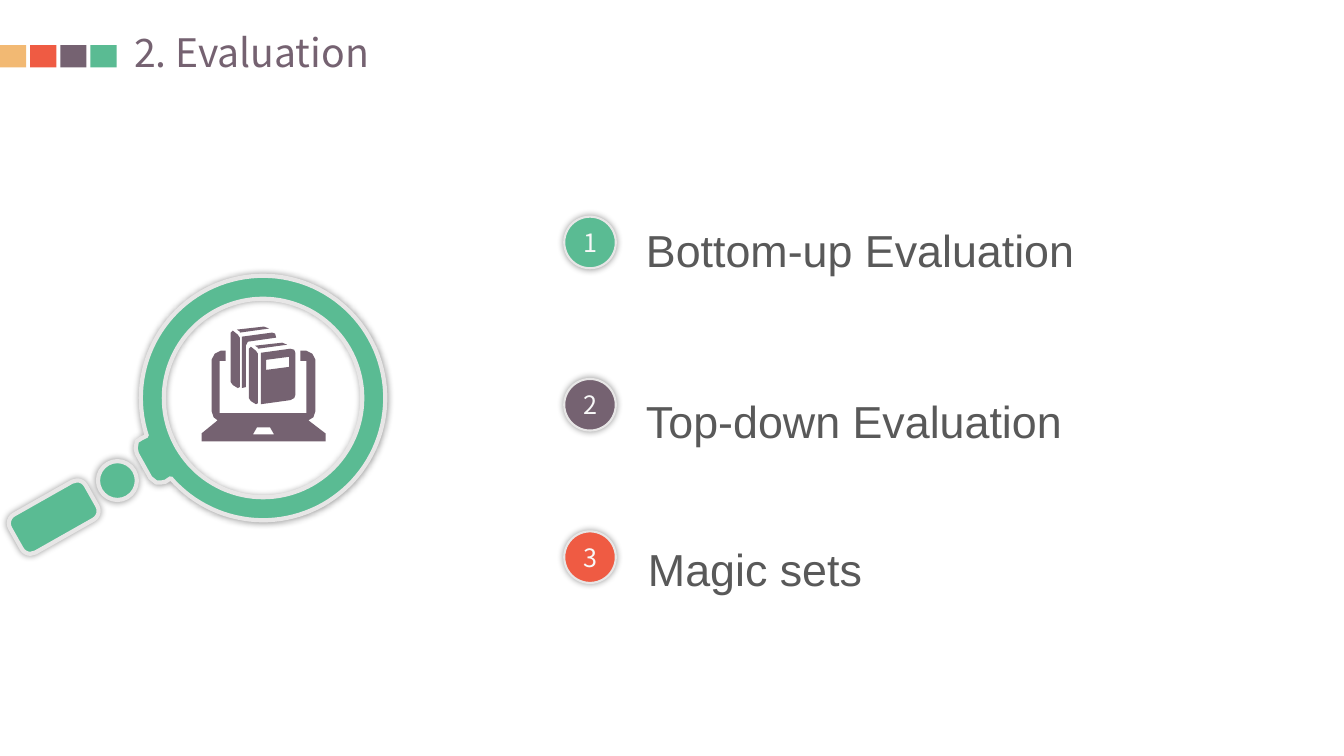
from math import cos, radians, sin
from lxml.etree import SubElement
from pptx import Presentation
from pptx.dml.color import RGBColor
from pptx.enum.shapes import MSO_SHAPE
from pptx.enum.text import MSO_ANCHOR, PP_ALIGN
from pptx.oxml.ns import qn
from pptx.util import Cm, Pt

INK = {"green": "5ABB93", "plum": "756271", "red": "EF5B43", "sand": "F2B973",
       "rim": "E7E6E6", "pale": "F8F8F8", "gray": "595959", "black": "000000"}
SANS, CJK = "Arial", "Noto Sans CJK SC"

COLLAR = [(-2.46, 2.11), (-2.57, 2.13), (-2.69, 2.13), (-2.84, 2.01),
          (-3.18, 1.4), (-3.21, 1.27), (-3.18, 1.09), (-3.07, 1.02)]
LAPTOP = [(18, 34), (24, 34), (24, 24), (19, 24), (13, 27), (10, 33), (10, 84),
          (12, 90), (16, 93), (0, 106), (0, 114), (123, 114), (123, 106),
          (106, 93), (111, 90), (113, 84), (113, 33), (110, 27), (104, 24),
          (98, 24), (98, 34), (104, 34), (104, 86), (18, 86)]
NOTCH = [(55, 100), (68, 100), (72, 107), (51, 107)]
TOP = [(35, 3), (38, 5), (38, 6), (67, 2), (62, 0)]
SPINE = [(31, 4), (36, 8), (38, 11), (38, 60), (36, 61), (31, 58), (29, 55), (29, 6)]
BACK = [(40, 10), (70, 6), (73, 7), (74, 11), (46, 15), (44, 19), (44, 60), (40, 61)]
FRONT = [(59, 26), (88, 22), (92, 23), (93, 26), (93, 68), (92, 71), (88, 73), (59, 77)]
LABEL = [(64, 33), (87, 30), (87, 40), (64, 43)]


def tint(name):
    """Return a palette colour."""
    return RGBColor.from_string(INK[name])


def paint(shape, fill, rim=0):
    """Fill a shape; a rim width adds a pale line and a soft shadow."""
    shape.shadow.inherit = False
    shape.fill.solid()
    shape.fill.fore_color.rgb = tint(fill)
    if not rim:
        shape.line.fill.background()
        return
    shape.line.color.rgb = tint("rim")
    shape.line.width = Pt(rim)
    glow = SubElement(shape._element.spPr.find(qn("a:effectLst")), qn("a:outerShdw"),
                      blurRad=str(Pt(5)), dist="0", dir="0", algn="ctr", rotWithShape="0")
    shade = SubElement(glow, qn("a:srgbClr"), val=INK["black"])
    SubElement(shade, qn("a:alpha"), val="40000")


def block(slide, kind, box, fill, rim=0):
    """Add a painted preset shape in a box given in centimetres."""
    shape = slide.shapes.add_shape(kind, *map(Cm, box))
    paint(shape, fill, rim)
    return shape


def trace(slide, x, y, unit, loops, fill, rim=0):
    """Draw closed loops, measured in units from x and y, as one shape."""
    pen = None
    for loop in loops:
        spots = [(Cm(x + unit * a), Cm(y + unit * b)) for a, b in loop]
        if pen is None:
            pen = slide.shapes.build_freeform(*spots[0], scale=1.0)
        else:
            pen.move_to(*spots[0])
        pen.add_line_segments(spots[1:], close=True)
    paint(pen.convert_to_shape(), fill, rim)


def arc(size, start, end):
    """Return points along an arc, in steps of about three degrees."""
    count = round((end - start) / 3)
    turns = [radians(start + (end - start) * i / count) for i in range(count + 1)]
    return [(size * cos(t), size * sin(t)) for t in turns]


def write(shape, text, size, font, color, align):
    """Write one run into the first paragraph of a shape."""
    line = shape.text_frame.paragraphs[0]
    line.alignment = align
    run = line.add_run()
    run.text = text
    run.font.size = Pt(size)
    run.font.name = font
    run.font.color.rgb = tint(color)
    props = run._r.get_or_add_rPr()
    SubElement(props, qn("a:ea"), typeface=font)


def label(slide, box, margins):
    """Add a wrapping text box with the given left, top, right, bottom margins."""
    shape = slide.shapes.add_textbox(*map(Cm, box))
    frame = shape.text_frame
    frame.word_wrap = True
    (frame.margin_left, frame.margin_top,
     frame.margin_right, frame.margin_bottom) = map(Cm, margins)
    return shape


def header(slide, x, y, text):
    """Place the colour swatches and the title."""
    for i, color in enumerate(("sand", "red", "plum", "green")):
        block(slide, MSO_SHAPE.RECTANGLE, (x + 0.76 * i, y + 0.43, 0.66, 0.56), color)
    title = label(slide, (x + 3.38, y, 10.13, 1.19), (0, 0, 0, 0))
    title.text_frame.vertical_anchor = MSO_ANCHOR.MIDDLE
    write(title, text, 28, CJK, "plum", PP_ALIGN.LEFT)


def item(slide, x, y, mark, text, color, right, down):
    """Place a numbered badge with its text set off to the right and down."""
    badge = block(slide, MSO_SHAPE.OVAL, (x, y, 1.3, 1.3), color, 1.5)
    badge.text_frame.vertical_anchor = MSO_ANCHOR.MIDDLE
    write(badge, mark, 18, CJK, "pale", PP_ALIGN.CENTER)
    note = label(slide, (x + right, y + down, 16.45, 1.63), (0.25, 0.25, 0.25, 0))
    write(note, text, 32, SANS, "gray", PP_ALIGN.JUSTIFY)


def lens(slide, x, y):
    """Place the magnifier, centred on x and y."""
    grip = block(slide, MSO_SHAPE.ROUNDED_RECTANGLE,
                 (x - 6.37, y + 2.45, 2.19, 1.1), "green", 3)
    grip.adjustments[0] = 0.23
    grip.rotation = -29.5
    block(slide, MSO_SHAPE.OVAL, (x - 4.16, y + 1.59, 0.98, 0.98), "green", 3)
    rim = arc(3.08, 162, 499) + COLLAR
    trace(slide, x, y, 1, [rim, arc(2.5, 0, 357)], "green", 3)


def library(slide, x, y):
    """Place the laptop with two books."""
    books = [[(a + 18 * i, b + 16 * i) for a, b in part]
             for i in range(2) for part in (TOP, SPINE)]
    loops = [LAPTOP, NOTCH, *books, BACK, FRONT, LABEL]
    trace(slide, x, y, 0.0254, loops, "plum")


def main():
    """Build and save the slide."""
    deck = Presentation()
    deck.slide_width, deck.slide_height = Cm(33.87), Cm(19.05)
    slide = deck.slides.add_slide(deck.slide_layouts[6])
    header(slide, 0, 0.71, "2. Evaluation")
    item(slide, 14.22, 5.46, "1", "Bottom-up Evaluation", "green", 1.81, -0.1)
    item(slide, 14.22, 9.55, "2", "Top-down Evaluation", "plum", 1.81, 0.13)
    item(slide, 14.22, 13.39, "3", "Magic sets", "red", 1.86, 0)
    lens(slide, 6.63, 10.03)
    library(slide, 5.08, 8.23)
    deck.save("out.pptx")


if __name__ == "__main__":
    main()
